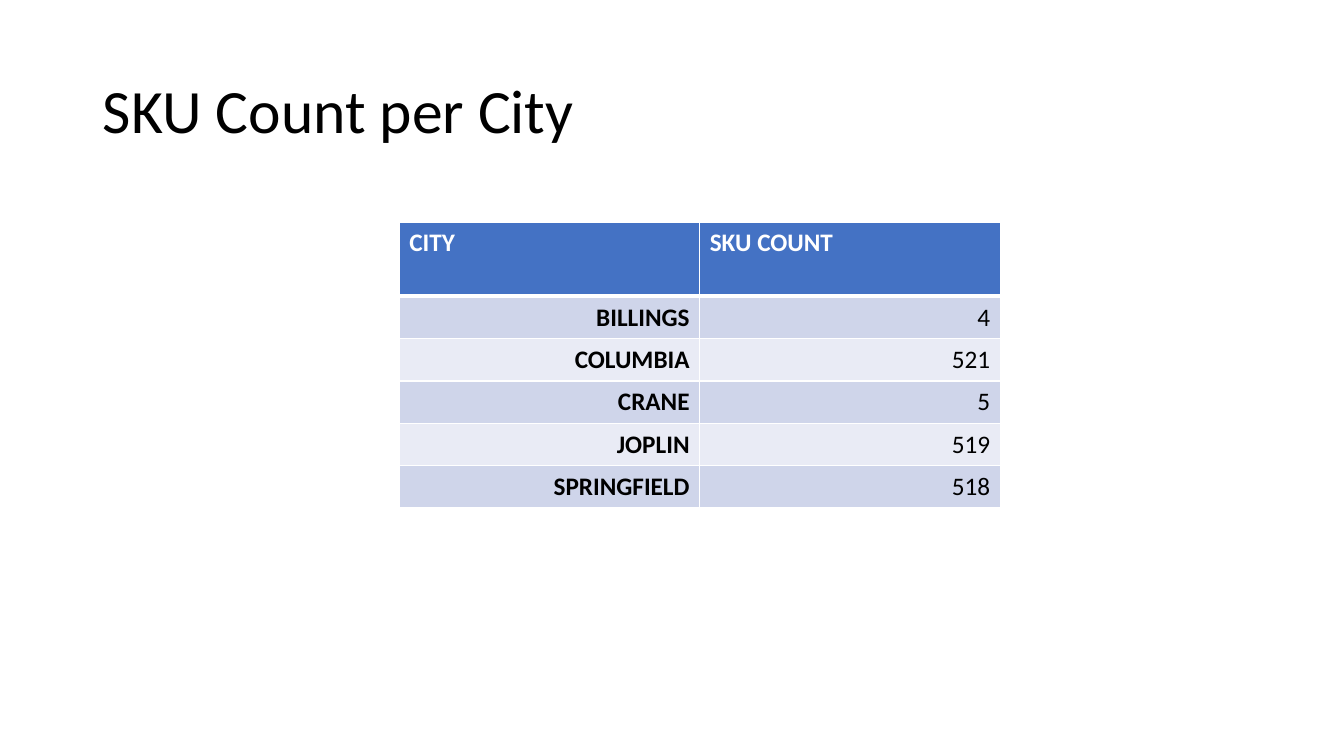
from dataclasses import dataclass

from lxml.etree import SubElement
from pptx import Presentation
from pptx.dml.color import RGBColor
from pptx.enum.text import MSO_ANCHOR, PP_ALIGN
from pptx.oxml.ns import qn
from pptx.util import Inches, Pt


@dataclass(frozen=True)
class Theme:
    font: str = "Calibri"
    title_size: int = 44
    table_size: int = 18
    text: str = "000000"
    header_text: str = "FFFFFF"
    header_fill: str = "4472C4"
    bands: tuple = ("CFD5EA", "E9EBF5")
    border: str = "FFFFFF"


theme = Theme()


def set_font(p, size, color, bold=False):
    p.font.name = theme.font
    p.font.size = Pt(size)
    p.font.bold = bold
    p.font.color.rgb = RGBColor.from_string(color)


def set_borders(cell, top=1, bottom=1):
    """Rule all four sides of a cell; widths are in points."""
    tc_pr = cell._tc.get_or_add_tcPr()
    for side, width in (("L", 1), ("R", 1), ("T", top), ("B", bottom)):
        ln = SubElement(tc_pr, qn(f"a:ln{side}"), w=str(Pt(width)))
        fill = SubElement(ln, qn("a:solidFill"))
        SubElement(fill, qn("a:srgbClr"), val=theme.border)


prs = Presentation()
prs.slide_width, prs.slide_height = Inches(13.33), Inches(7.5)
s = prs.slides.add_slide(prs.slide_layouts[5])

# Title
title = s.shapes.title
title.left, title.top = Inches(0.92), Inches(0.4)
title.width, title.height = Inches(11.5), Inches(1.45)
tf = title.text_frame
tf.text = "SKU Count per City"
tf.vertical_anchor = MSO_ANCHOR.MIDDLE
p = tf.paragraphs[0]
p.alignment = PP_ALIGN.LEFT
p.line_spacing = 0.9
set_font(p, theme.title_size, theme.text)

# SKU table
sku_rows = [
    ("CITY", "SKU COUNT"),
    ("BILLINGS", "4"),
    ("COLUMBIA", "521"),
    ("CRANE", "5"),
    ("JOPLIN", "519"),
    ("SPRINGFIELD", "518"),
]
col_width, header_height, row_height = Inches(2.98), Inches(0.73), Inches(0.42)
table_height = header_height + row_height * (len(sku_rows) - 1)
table = s.shapes.add_table(len(sku_rows), 2, Inches(3.96), Inches(2.21),
                           col_width * 2, table_height).table

for i, values in enumerate(sku_rows):
    is_header = i == 0
    table.rows[i].height = header_height if is_header else row_height
    for j, value in enumerate(values):
        cell = table.cell(i, j)
        set_borders(cell, top=3 if i == 1 else 1, bottom=3 if is_header else 1)
        cell.fill.solid()
        cell.fill.fore_color.rgb = RGBColor.from_string(
            theme.header_fill if is_header else theme.bands[(i - 1) % 2])
        cell.vertical_anchor = MSO_ANCHOR.TOP if is_header else MSO_ANCHOR.MIDDLE
        cell.text = value
        p = cell.text_frame.paragraphs[0]
        p.alignment = PP_ALIGN.LEFT if is_header else PP_ALIGN.RIGHT
        set_font(p, theme.table_size,
                 theme.header_text if is_header else theme.text,
                 bold=is_header or j == 0)

prs.save("out.pptx")
